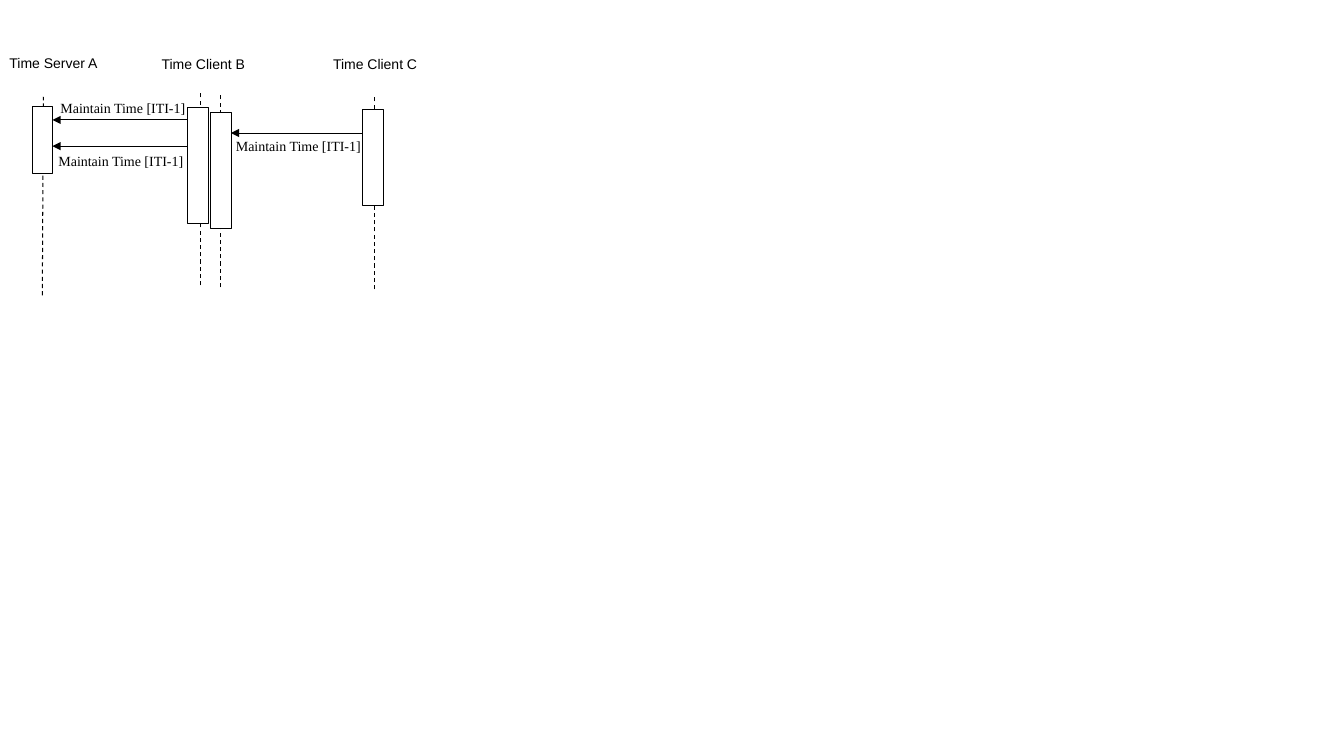
import pptx
import pptx.dml.color
import pptx.enum.dml
import pptx.enum.shapes
import pptx.enum.text
import pptx.oxml.ns
import pptx.util
from lxml import etree

Inches = pptx.util.Inches
BLACK = pptx.dml.color.RGBColor(0, 0, 0)
WHITE = pptx.dml.color.RGBColor(255, 255, 255)


class SequenceDiagram:
    """Draws the parts of a sequence diagram on one slide."""

    label_font = {"name": "Arial", "size": pptx.util.Pt(10)}
    message_font = {"name": "Times New Roman", "size": pptx.util.Pt(10)}
    line_width = pptx.util.Pt(0.75)

    def __init__(self, s):
        self.s = s

    def set_text(self, sp, text, font, align):
        tf = sp.text_frame
        frame = {"margin_left": 0, "margin_top": 0, "margin_right": 0, "margin_bottom": 0,
                 "word_wrap": True, "vertical_anchor": pptx.enum.text.MSO_ANCHOR.TOP}
        for name, value in frame.items():
            setattr(tf, name, value)
        p = tf.paragraphs[0]
        p.alignment = align
        r = p.add_run()
        r.text = text
        for name, value in font.items():
            setattr(r.font, name, value)
        r.font.color.rgb = BLACK

    def box(self, x, y, w, h):
        sp = self.s.shapes.add_shape(pptx.enum.shapes.MSO_SHAPE.RECTANGLE,
                                     Inches(x), Inches(y), Inches(w), Inches(h))
        sp.shadow.inherit = False
        sp.fill.solid()
        sp.fill.fore_color.rgb = WHITE
        return sp

    def actor(self, text, x, y, w, h):
        sp = self.box(x, y, w, h)
        sp.line.fill.background()
        self.set_text(sp, text, self.label_font, pptx.enum.text.PP_ALIGN.CENTER)

    def activation(self, x, y, w, h):
        sp = self.box(x, y, w, h)
        sp.line.color.rgb = BLACK
        sp.line.width = self.line_width

    def line(self, x1, y1, x2, y2):
        sp = self.s.shapes.add_connector(pptx.enum.shapes.MSO_CONNECTOR.STRAIGHT,
                                         Inches(x1), Inches(y1), Inches(x2), Inches(y2))
        sp.line.color.rgb = BLACK
        sp.line.width = self.line_width
        etree.SubElement(sp._element.spPr, pptx.oxml.ns.qn("a:effectLst"))
        return sp

    def lifeline(self, x_bottom, bottom, x_top, top):
        sp = self.line(x_bottom, bottom, x_top, top)
        sp.line.dash_style = pptx.enum.dml.MSO_LINE.DASH

    def arrow(self, x1, x2, y):
        sp = self.line(x1, y, x2, y)
        ln = sp._element.spPr.find(pptx.oxml.ns.qn("a:ln"))
        etree.SubElement(ln, pptx.oxml.ns.qn("a:tailEnd"), type="triangle")

    def message(self, text, x, y):
        sp = self.s.shapes.add_textbox(Inches(x), Inches(y), Inches(1.46), Inches(0.32))
        self.set_text(sp, text, self.message_font, pptx.enum.text.PP_ALIGN.LEFT)


def main():
    prs = pptx.Presentation()
    prs.slide_width, prs.slide_height = Inches(13.33), Inches(7.5)
    diagram = SequenceDiagram(prs.slides.add_slide(prs.slide_layouts[6]))

    for actor in (("Time Server A", 0.01, 0.54, 1.04, 0.35),
                  ("Time Client B ", 1.52, 0.55, 1.03, 0.18),
                  ("Time Client C", 3.22, 0.55, 1, 0.35)):
        diagram.actor(*actor)
    for lifeline in ((0.42, 2.93, 0.43, 0.96), (1.99, 2.83, 1.99, 0.92),
                     (2.19, 2.85, 2.19, 0.94), (3.71, 2.87, 3.71, 0.96)):
        diagram.lifeline(*lifeline)
    for arrow in ((1.95, 0.52, 1.19), (1.95, 0.52, 1.45), (3.72, 2.29, 1.32)):
        diagram.arrow(*arrow)
    for activation in ((0.32, 1.06, 0.2, 0.66), (1.86, 1.07, 0.21, 1.15),
                       (2.09, 1.12, 0.21, 1.15), (3.6, 1.09, 0.2, 0.95)):
        diagram.activation(*activation)
    for x, y in ((0.6, 0.99), (0.58, 1.51), (2.34, 1.36)):
        diagram.message("Maintain Time [ITI-1]", x, y)

    prs.save("out.pptx")


if __name__ == "__main__":
    main()
